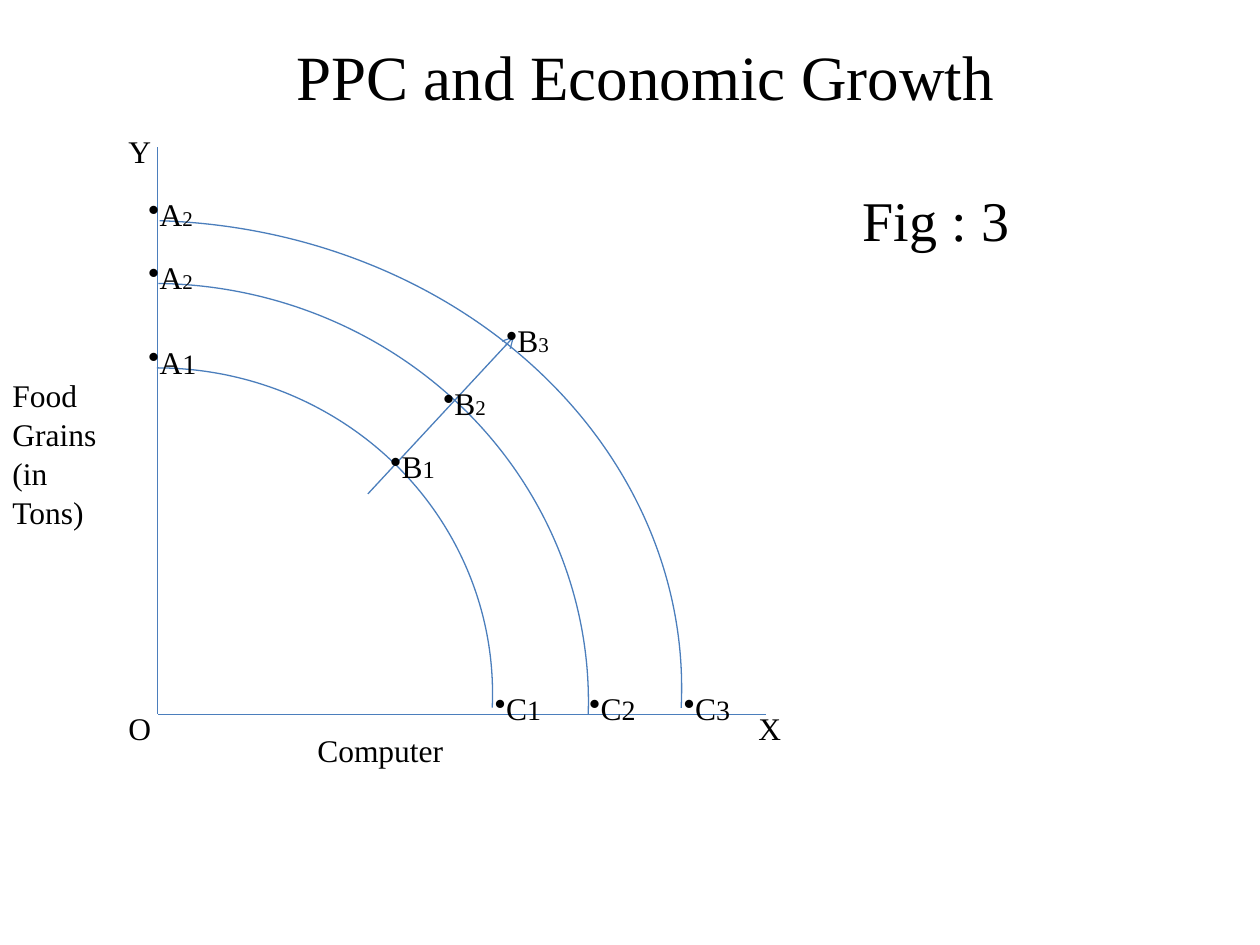
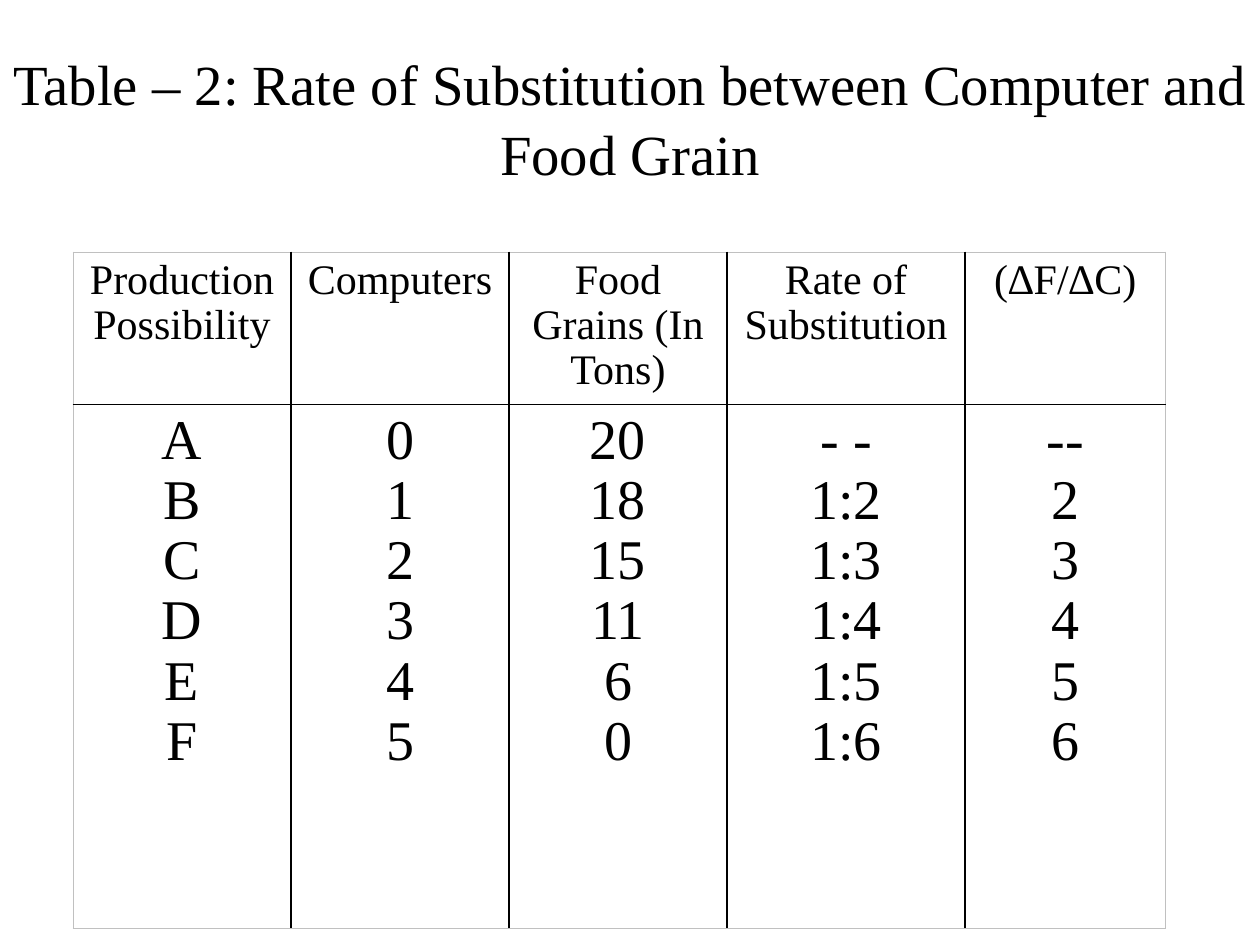
import pptx
import pptx.util
import pptx.dml.color
import pptx.enum.shapes
import pptx.enum.text
import pptx.oxml.ns
import lxml.etree

Inches = pptx.util.Inches
Pt = pptx.util.Pt
ALIGN = pptx.enum.text.PP_ALIGN
ANCHOR = pptx.enum.text.MSO_ANCHOR

BLACK = pptx.dml.color.RGBColor(0x00, 0x00, 0x00)
WHITE = pptx.dml.color.RGBColor(0xFF, 0xFF, 0xFF)
BLUE = pptx.dml.color.RGBColor(0x4B, 0x7E, 0xBC)
GRAY = pptx.dml.color.RGBColor(0xC0, 0xC0, 0xC0)
FONT = "Times New Roman"
LABEL_SIZE = 18
LOOSE = 1.04
TIGHT = 0.97
TITLE_ONLY = 5


def add_tag(parent, tag, **attributes):
    return lxml.etree.SubElement(parent, pptx.oxml.ns.qn(tag), attributes)


def style_paragraph(paragraph, size, align=ALIGN.LEFT, spacing=None):
    paragraph.alignment = align
    if spacing:
        paragraph.line_spacing = spacing
    for run in paragraph.runs:
        run.font.name = FONT
        run.font.size = Pt(size)
        run.font.bold = False
        run.font.color.rgb = BLACK


def add_slide(deck):
    slide = deck.slides.add_slide(deck.slide_layouts[TITLE_ONLY])
    slide.background.fill.solid()
    slide.background.fill.fore_color.rgb = WHITE
    return slide


def write_title(slide, box, text, size, align, anchor, spacing=None):
    title = slide.shapes.title
    title.left, title.top, title.width, title.height = map(Inches, box)
    frame = title.text_frame
    frame.text = text
    frame.word_wrap = True
    frame.auto_size = pptx.enum.text.MSO_AUTO_SIZE.NONE
    frame.vertical_anchor = anchor
    style_paragraph(frame.paragraphs[0], size, align, spacing)


def add_label(slide, box, text, size=LABEL_SIZE, spacing=None):
    frame = slide.shapes.add_textbox(*map(Inches, box)).text_frame
    frame.word_wrap = True
    frame.text = text
    style_paragraph(frame.paragraphs[0], size, spacing=spacing)
    return frame.paragraphs[0]


def add_point(slide, box, letter, number, number_size):
    point = add_label(slide, box, letter)
    index = point.add_run()
    index.text = number
    style_paragraph(point, LABEL_SIZE)
    index.font.size = Pt(number_size)
    add_tag(point._p.get_or_add_pPr(), "a:buChar", char="•")


def add_line(slide, start, end, arrow=False):
    line = slide.shapes.add_connector(
        pptx.enum.shapes.MSO_CONNECTOR.STRAIGHT, *map(Inches, start + end))
    line.line.color.rgb = BLUE
    line.line.width = Pt(0.75)
    if arrow:
        add_tag(line.line._get_or_add_ln(), "a:tailEnd", type="arrow")
    add_tag(line._element.spPr, "a:effectLst")


def add_curve(slide, box, start_angle, end_angle):
    curve = slide.shapes.add_shape(
        pptx.enum.shapes.MSO_SHAPE.ARC, *map(Inches, box))
    curve.adjustments[0] = start_angle
    curve.adjustments[1] = end_angle
    curve.shadow.inherit = False
    curve.fill.background()
    curve.line.color.rgb = BLUE
    curve.line.width = Pt(0.75)


def draw_growth_diagram(slide, box):
    left, top, width, height = box
    axis_x, axis_y = left + 1.25, top + 4.67

    add_line(slide, (axis_x, top + 0.17), (axis_x, axis_y))
    add_line(slide, (left + 6.08, axis_y), (axis_x, axis_y))

    curves = [
        (-1.42, 1.92, 5.33, 5.17, 162, 1.43),
        (-2.25, 1.25, 6.92, 6.64, 162.48, 0.97),
        (-3.17, 0.75, 8.58, 7.42, 163.37, 1.27),
    ]
    for x, y, w, h, start_angle, end_angle in curves:
        add_curve(slide, (left + x, top + y, w, h), start_angle, end_angle)
    add_line(slide, (left + 2.92, top + 2.92), (left + 4.08, top + 1.67), True)

    points = [
        ("A", "1", 16, 1.08, 1.67), ("A", "2", 12, 1.08, 1),
        ("A", "2", 12, 1.08, 0.5),
        ("B", "1", 14, 3, 2.5), ("B", "2", 12, 3.42, 2),
        ("B", "3", 12, 3.92, 1.5),
        ("C", "1", 16, 3.83, 4.42), ("C", "2", 16, 4.58, 4.42),
        ("C", "3", 16, 5.33, 4.42),
    ]
    for letter, number, size, x, y in points:
        add_point(slide, (left + x, top + y, 0.67, 0.4), letter, number, size)

    for letter, x, y in [("Y", 0.92, 0), ("O", 0.92, 4.58), ("X", 5.92, 4.58)]:
        add_label(slide, (left + x, top + y, 0.33, 0.42), letter)
    add_label(slide, (left, top + 1.92, 1.08, 1.31),
              "Food Grains (in Tons)", spacing=LOOSE)
    add_label(slide, (left + 2.42, top + 4.75, 2.17, 0.4), "Computer")


def set_border(cell, position, side, color, width):
    border = lxml.etree.Element(pptx.oxml.ns.qn("a:" + side),
                                {"w": str(Pt(width))})
    add_tag(add_tag(border, "a:solidFill"), "a:srgbClr", val=str(color))
    cell._tc.get_or_add_tcPr().insert(position, border)


def fill_cell(cell, lines, size, outer_sides):
    cell.text_frame.text = "\n".join(lines)
    for paragraph in cell.text_frame.paragraphs:
        style_paragraph(paragraph, size, ALIGN.CENTER, TIGHT)
    cell.fill.background()
    for position, side in enumerate(("lnL", "lnR", "lnT", "lnB")):
        color, width = (GRAY, 0.5) if side in outer_sides else (BLACK, 1)
        set_border(cell, position, side, color, width)


def draw_substitution_table(slide, box):
    columns = [
        ("Production Possibility", 1.73, "A B C D E F".split()),
        ("Computers", 1.73, "0 1 2 3 4 5".split()),
        ("Food Grains (In Tons)", 1.73, "20 18 15 11 6 0".split()),
        ("Rate of Substitution", 1.89, ["- -", "1:2", "1:3", "1:4", "1:5", "1:6"]),
        ("(∆F/∆C)", 1.59, "-- 2 3 4 5 6".split()),
    ]
    header_height = 1.21
    table = slide.shapes.add_table(2, len(columns), *map(Inches, box)).table
    table.first_row = False
    table.horz_banding = False
    table.rows[0].height = Inches(header_height)
    table.rows[1].height = Inches(box[3] - header_height)
    for number, (heading, width, values) in enumerate(columns):
        table.columns[number].width = Inches(width)
        outer = {0: ["lnL"], len(columns) - 1: ["lnR"]}.get(number, [])
        fill_cell(table.cell(0, number), [heading], 24, outer + ["lnT"])
        fill_cell(table.cell(1, number), values, 32, outer + ["lnB"])


def build_growth_slide(deck):
    slide = add_slide(deck)
    write_title(slide, (2.25, 0.25, 7.17, 0.71), "PPC and Economic Growth",
                36, ALIGN.LEFT, ANCHOR.TOP)
    draw_growth_diagram(slide, (0, 1, 6.25, 5.15))
    add_label(slide, (6.75, 1.42, 2, 0.64), "Fig : 3", 32)


def build_substitution_slide(deck):
    slide = add_slide(deck)
    write_title(slide, (0, 0.3, 10, 1.25),
                "Table – 2: Rate of Substitution between Computer and Food Grain",
                32.4, ALIGN.CENTER, ANCHOR.MIDDLE, LOOSE)
    draw_substitution_table(slide, (0.58, 2, 8.67, 5.37))


deck = pptx.Presentation()
deck.slide_width = Inches(10)
deck.slide_height = Inches(7.5)
build_growth_slide(deck)
build_substitution_slide(deck)
deck.save("out.pptx")
